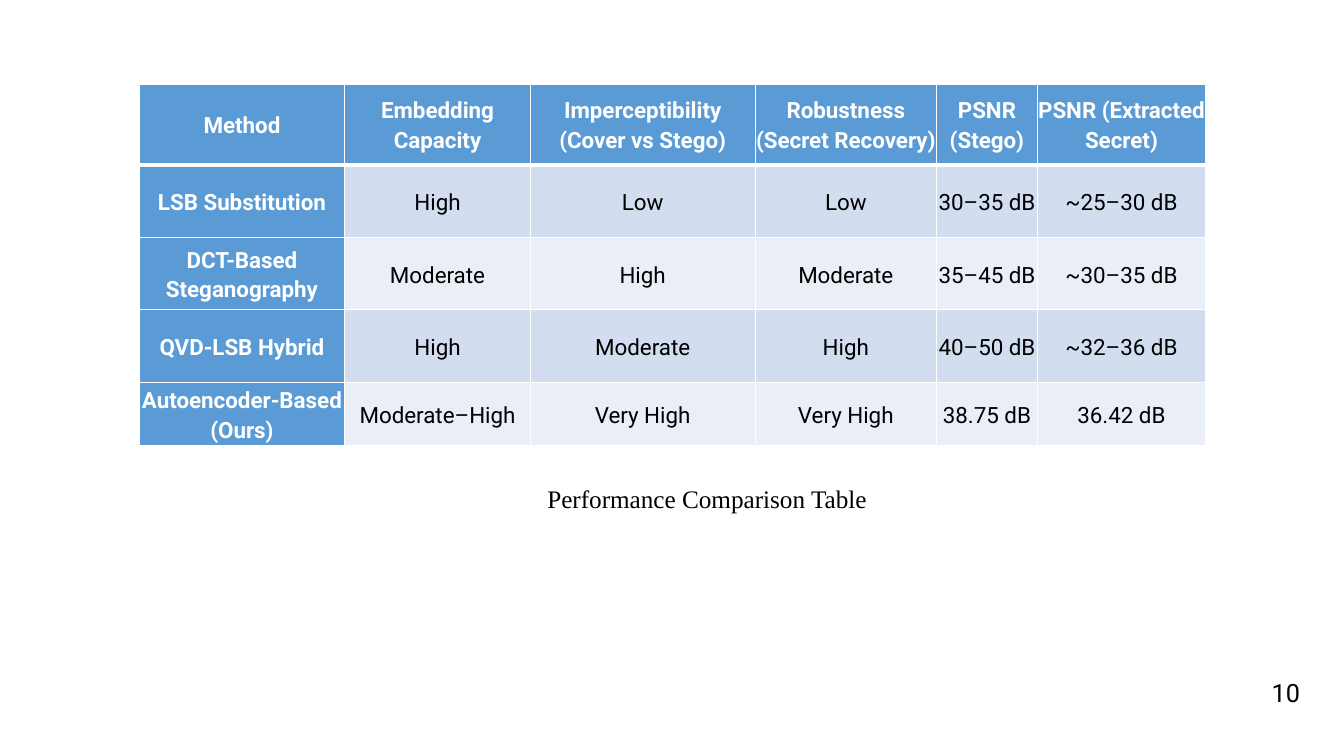
from lxml.etree import SubElement
from pptx import Presentation
from pptx.dml.color import RGBColor
from pptx.enum.text import MSO_ANCHOR, MSO_AUTO_SIZE, PP_ALIGN
from pptx.oxml.ns import qn
from pptx.util import Pt

HEADER = ["Method", "Embedding Capacity", "Imperceptibility (Cover vs Stego)",
          "Robustness (Secret Recovery)", "PSNR (Stego)", "PSNR (Extracted Secret)"]
METHODS = [
    ["LSB Substitution", "High", "Low", "Low", "30–35 dB", "~25–30 dB"],
    ["DCT-Based Steganography", "Moderate", "High", "Moderate", "35–45 dB", "~30–35 dB"],
    ["QVD-LSB Hybrid", "High", "Moderate", "High", "40–50 dB", "~32–36 dB"],
    ["Autoencoder-Based (Ours)", "Moderate–High", "Very High", "Very High", "38.75 dB", "36.42 dB"],
]
CAPTION = "Performance Comparison Table"
PAGE_NUMBER = "10"

COLUMN_WIDTHS = [146.9, 132.5, 160.6, 129.6, 72, 120.2]
ROW_HEIGHTS = [57.6, 51.8, 51.8, 51.8, 45.4]
TABLE_LEFT, TABLE_TOP = 99.4, 60
BLUE, WHITE, BLACK = "5B9BD5", "FFFFFF", "000000"
BANDS = ["D2DEEF", "EAEFF7"]


def color(value):
    return RGBColor.from_string(value)


def add_run(paragraph, text, size, font, font_color, bold=False):
    run = paragraph.add_run()
    run.text = text
    run.font.size = Pt(size)
    run.font.name = font
    run.font.bold = bold
    run.font.color.rgb = color(font_color)


def add_borders(cell, row):
    properties = cell._tc.get_or_add_tcPr()
    widths = {"a:lnL": 1, "a:lnR": 1, "a:lnT": 3 if row == 1 else 1, "a:lnB": 3 if row == 0 else 1}
    for side, width in widths.items():
        line = SubElement(properties, qn(side), w=str(Pt(width)))
        SubElement(SubElement(line, qn("a:solidFill")), qn("a:srgbClr"), val=WHITE)


def fill_cell(cell, text, row, column):
    is_heading = row == 0 or column == 0
    cell.margin_left = cell.margin_right = cell.margin_top = cell.margin_bottom = 0
    cell.vertical_anchor = MSO_ANCHOR.MIDDLE
    add_borders(cell, row)
    cell.fill.solid()
    cell.fill.fore_color.rgb = color(BLUE if is_heading else BANDS[(row - 1) % 2])
    paragraph = cell.text_frame.paragraphs[0]
    paragraph.alignment = PP_ALIGN.CENTER
    paragraph.line_spacing = 1.15
    paragraph.space_after = Pt(8)
    add_run(paragraph, text, 16, "Roboto", WHITE if is_heading else BLACK, is_heading)


def add_comparison_table(slide):
    rows = [HEADER] + METHODS
    frame = slide.shapes.add_table(len(rows), len(HEADER), Pt(TABLE_LEFT), Pt(TABLE_TOP),
                                   Pt(sum(COLUMN_WIDTHS)), Pt(sum(ROW_HEIGHTS)))
    table = frame.table
    table.first_col = True
    for column, width in zip(table.columns, COLUMN_WIDTHS):
        column.width = Pt(width)
    for row, height in zip(table.rows, ROW_HEIGHTS):
        row.height = Pt(height)
    for row, texts in enumerate(rows):
        for column, text in enumerate(texts):
            fill_cell(table.cell(row, column), text, row, column)


def add_label(slide, text, box, font):
    shape = slide.shapes.add_textbox(*map(Pt, box))
    paragraph = shape.text_frame.paragraphs[0]
    add_run(paragraph, text, 18, font, BLACK)
    return shape.text_frame, paragraph


def main():
    presentation = Presentation()
    presentation.slide_width, presentation.slide_height = Pt(960), Pt(540)
    slide = presentation.slides.add_slide(presentation.slide_layouts[6])

    number_frame, number = add_label(slide, PAGE_NUMBER, (895, 480.2, 46.8, 28.8), "Roboto")
    number_frame.word_wrap = True
    number_frame.vertical_anchor = MSO_ANCHOR.MIDDLE
    number.alignment = PP_ALIGN.CENTER

    add_comparison_table(slide)

    caption_frame, caption = add_label(slide, CAPTION, (383.8, 342, 245.5, 28.8), "Times New Roman")
    caption_frame.word_wrap = False
    caption_frame.auto_size = MSO_AUTO_SIZE.SHAPE_TO_FIT_TEXT

    presentation.save("out.pptx")


if __name__ == "__main__":
    main()
